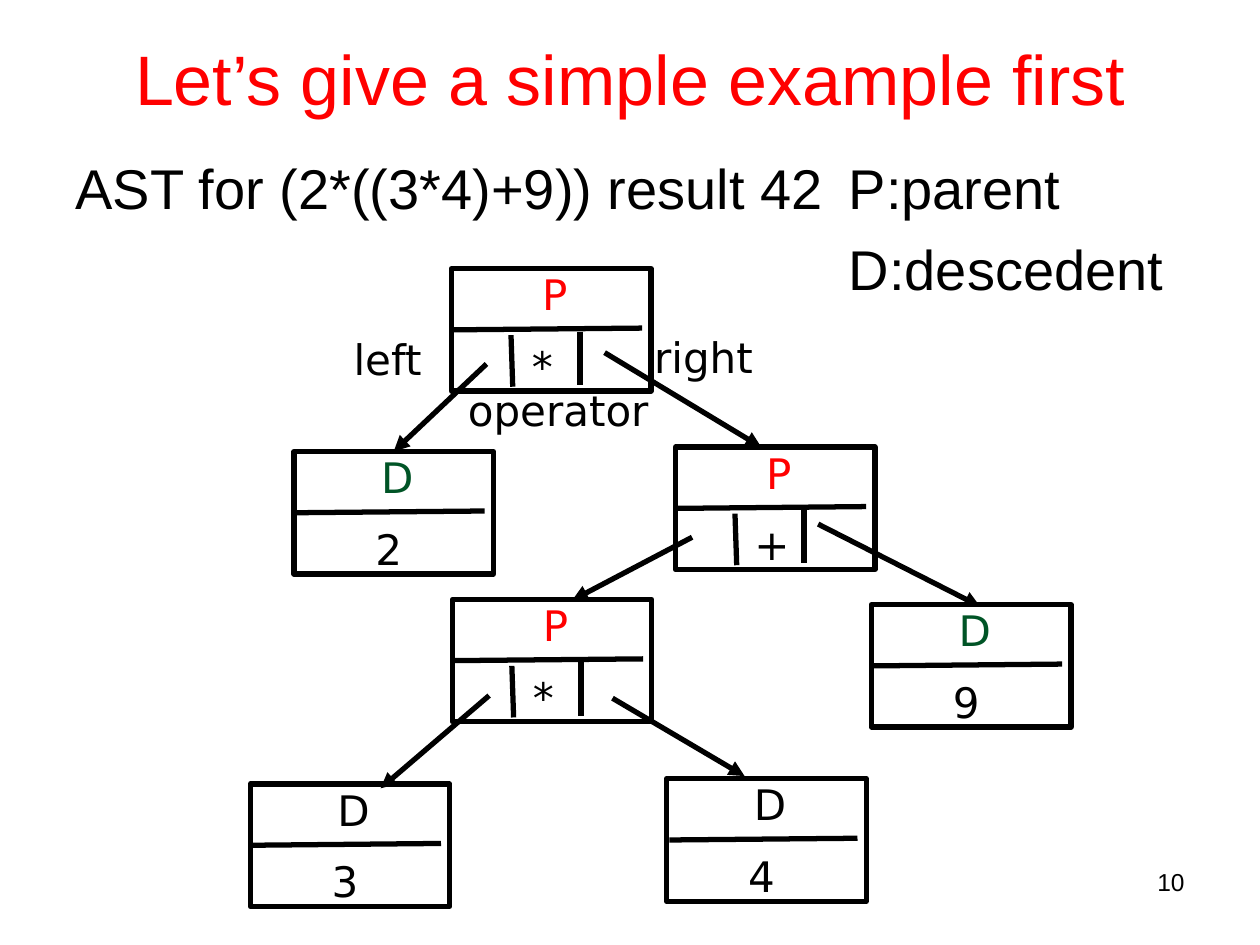
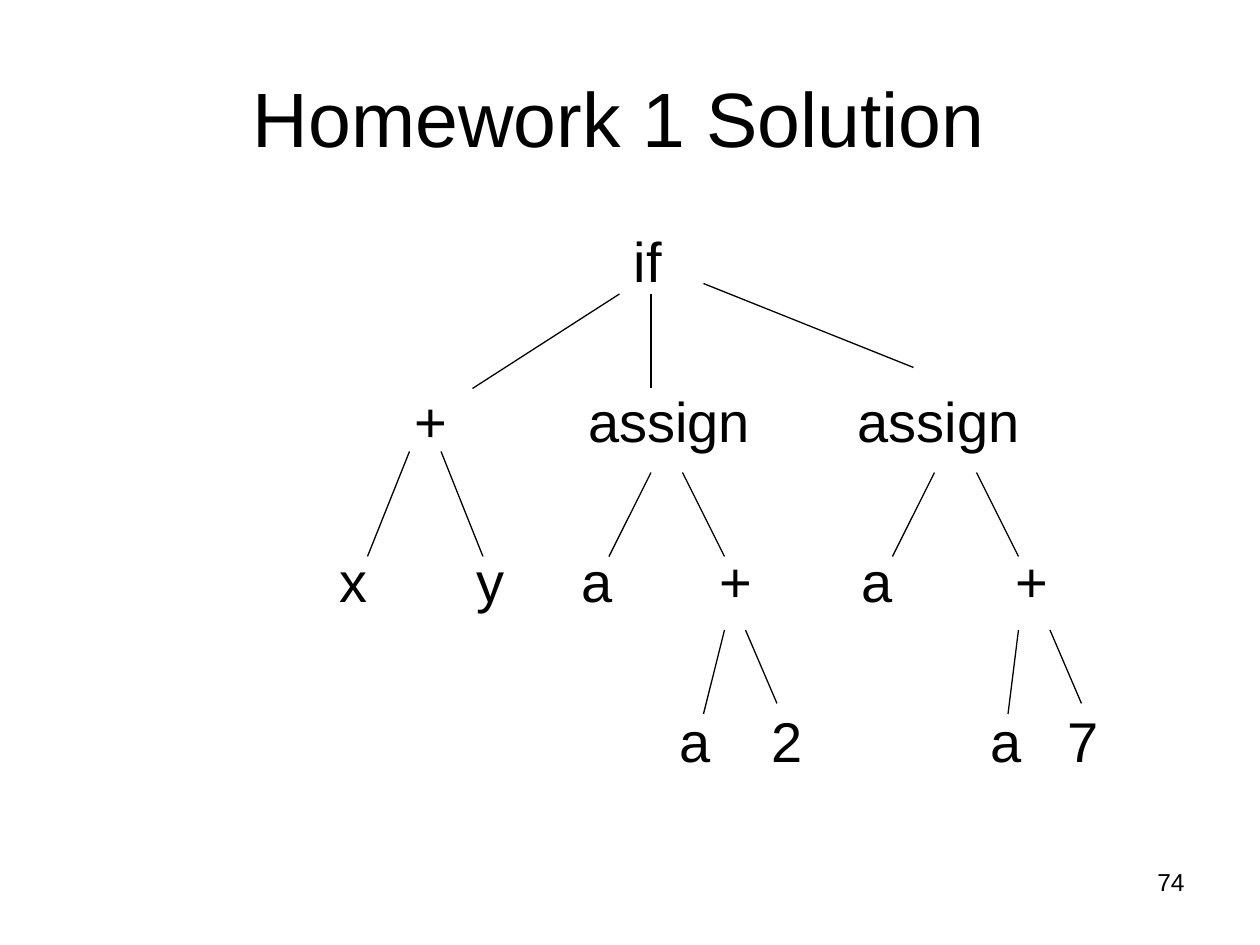
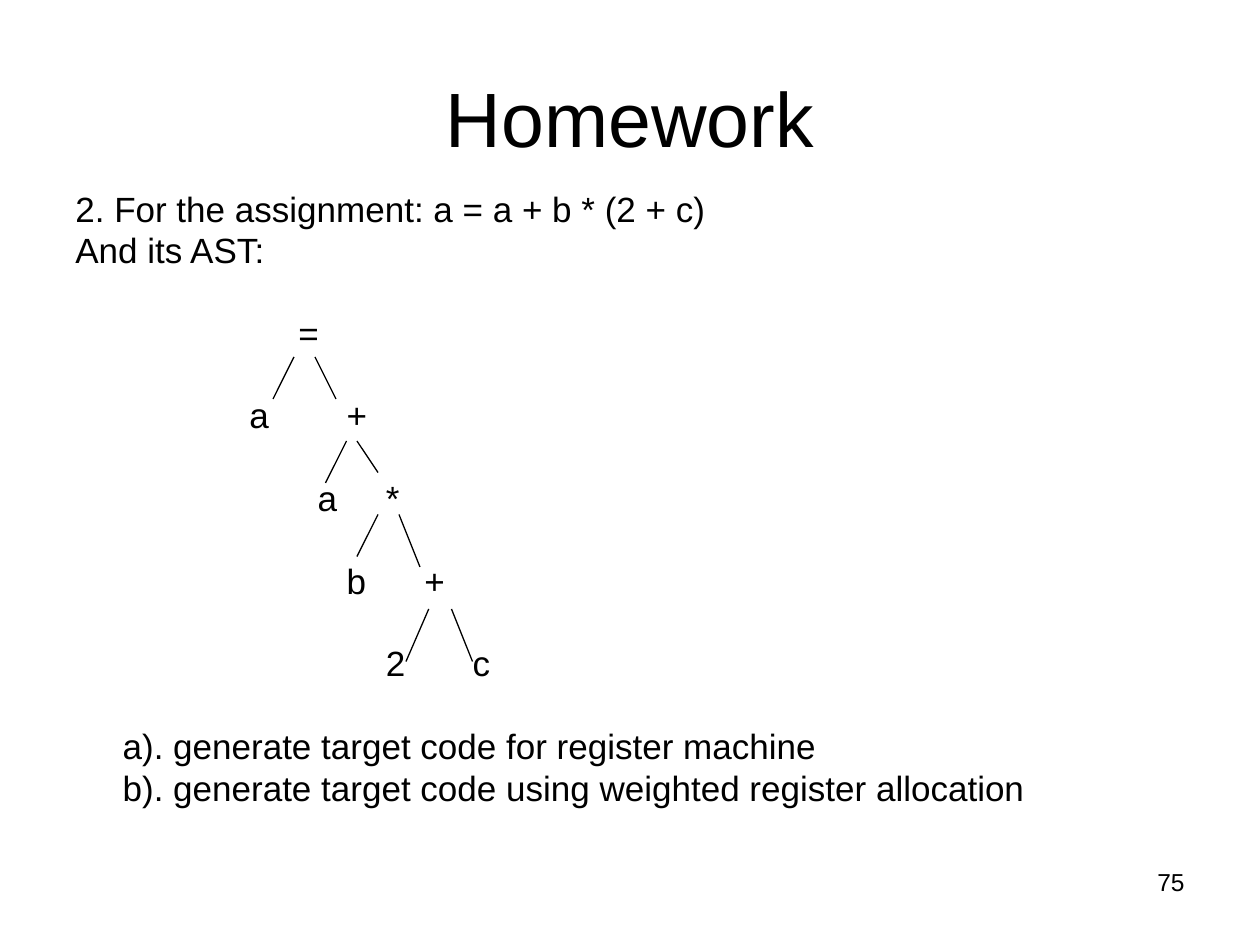
from lxml import etree
from pptx import Presentation
from pptx.dml.color import RGBColor as Rgb
from pptx.enum.shapes import MSO_CONNECTOR as Conn, MSO_SHAPE as Form
from pptx.enum.text import MSO_ANCHOR as Anchor, PP_ALIGN as Align
from pptx.oxml.ns import qn
from pptx.util import Pt

HUES = {"ink": "000000", "red": "FF0000", "green": "005426", "paper": "FFFFFF"}
SANS, CODE = "Arial", "DejaVu Sans"
WIDE, HIGH = 114, 70


class Deck:
    """Hold the style and the current slide, and draw each kind of element."""

    def __init__(self):
        self.prs = Presentation()
        self.prs.slide_width, self.prs.slide_height = Pt(720), Pt(540)

    def page(self, title, number, size=44, hue="ink", high=90):
        self.slide = self.prs.slides.add_slide(self.prs.slide_layouts[6])
        fill = self.slide.background.fill
        fill.solid()
        fill.fore_color.rgb = Rgb.from_string(HUES["paper"])
        self.home = self.slide.shapes
        self.text(title, 36, 21.6, 648, high, size, hue, anchor=Anchor.MIDDLE)
        self.text(str(number), 516, 492, 168, 37, 14, side=Align.RIGHT)

    def style(self, par, size, hue="ink", face=SANS):
        font = par.font
        font.size, font.name = Pt(size), face
        font.color.rgb = Rgb.from_string(HUES[hue])

    def text(self, words, x, y, w, h, size, hue="ink", face=SANS,
             side=Align.CENTER, anchor=Anchor.TOP, wrap=True, home=None):
        box = (home or self.home).add_textbox(Pt(x), Pt(y), Pt(w), Pt(h))
        frame = box.text_frame
        frame.word_wrap, frame.vertical_anchor = wrap, anchor
        par = frame.paragraphs[0]
        par.text, par.alignment = words, side
        self.style(par, size, hue, face)

    def label(self, words, x, y, w, hue="ink", wrap=True, home=None):
        self.text(words, x, y, w, 36, 24, hue, CODE, wrap=wrap, home=home)

    def body(self, y, h, size, rows, line=None):
        """Each row is a gap above, then pairs of tab stop and words."""
        box = self.home.add_textbox(Pt(36), Pt(y), Pt(648), Pt(h))
        frame = box.text_frame
        frame.word_wrap = True
        for i, (gap, *cells) in enumerate(rows):
            par = frame.add_paragraph() if i else frame.paragraphs[0]
            par.space_before = Pt(gap)
            if line:
                par.line_spacing = line
            par.add_run().text = "".join(
                ("\t" if stop else "") + words for stop, words in cells)
            self.style(par, size)
            self.tabs(par, [stop for stop, _ in cells if stop])

    def tabs(self, par, stops):
        props = par._p.get_or_add_pPr()
        tabs = etree.Element(qn("a:tabLst"))
        for stop in stops:
            etree.SubElement(tabs, qn("a:tab"), pos=str(Pt(stop)), algn="l")
        props.find(qn("a:defRPr")).addprevious(tabs)

    def line(self, x, y, u, v, width=0.75, arrow=False, home=None):
        edge = (home or self.home).add_connector(
            Conn.STRAIGHT, Pt(x), Pt(y), Pt(u), Pt(v))
        edge.line.width = Pt(width)
        edge.line.color.rgb = Rgb.from_string(HUES["ink"])
        props = edge._element.spPr
        if arrow:
            etree.SubElement(props.find(qn("a:ln")), qn("a:tailEnd"),
                             type="triangle")
        etree.SubElement(props, qn("a:effectLst"))
        return edge

    def node(self, x, y, kind, value, hue):
        home = self.home.add_group_shape().shapes
        box = home.add_shape(Form.RECTANGLE, Pt(x), Pt(y), Pt(WIDE), Pt(HIGH))
        box.shadow.inherit = False
        box.fill.background()
        box.line.width = Pt(3)
        box.line.color.rgb = Rgb.from_string(HUES["ink"])
        bars = [(1.5, 35, 109, 34)]
        if kind == "P":
            bars += [(34, 38, 35, 67.5), (73.5, 36, 73.5, 66.5)]
            head, wide, slot = 44.5, 29, 38
        else:
            head, wide, slot = 42.5, 33, 39.5
        self.label(kind, x + head, y - 3.5, wide, hue, False, home)
        for a, b, c, d in bars:
            self.line(x + a, y + b, x + c, y + d, 3, home=home)
        self.label(value, x + slot, y + 37.5, 28, home=home)
        return box


def sample(deck):
    deck.page("Let’s give a simple example first", 10, 40, "red", 45)
    deck.body(84.2, 150, 32, [
        (3, (0, "AST for (2*((3*4)+9)) result 42"), (442, "P:parent")),
        (7.8, (442, "D:descedent")),
    ])
    deck.node(258, 153.5, "P", "*", "red")
    for words, x, y, w in [("operator", 258, 216, 122), ("left", 178.5, 187, 86),
                           ("right", 359, 186, 86)]:
        deck.label(words, x, y, w)
    deck.node(386, 255.5, "P", "+", "red")
    deck.node(258.5, 342.5, "P", "*", "red")
    two = deck.node(168, 258, "D", "2", "green")
    deck.node(498, 345.5, "D", "9", "green")
    deck.node(381, 445, "D", "4", "ink")
    deck.node(143, 448, "D", "3", "ink")
    left = deck.line(278, 208, 225, 258, 3, True)
    left.end_connect(two, 0)
    for ends in [(345.5, 201.5, 435, 255.5), (395.5, 307, 327, 343),
                 (467.5, 299.5, 560, 346.5), (350, 399, 425.5, 443.5),
                 (279.5, 397.5, 217.5, 450.5)]:
        deck.line(*ends, 3, True)


def answer(deck):
    deck.page("Homework 1 Solution ", 74)
    deck.body(126, 356.5, 32, [
        (3, (319, "if")),
        (53, (194, "+"), (293, "assign"), (447, "assign")),
        (53, (151, "x"), (229, "y"), (289, "a"), (368, "+"), (449, "a"),
         (537, "+")),
        (53, (345, "a"), (398, "2"), (523, "a"), (567, "7")),
    ])
    for ends in [(354, 168, 270, 222), (372, 168, 372, 222),
                 (402, 162, 522, 210), (234, 258, 210, 318),
                 (252, 258, 276, 318), (372, 270, 348, 318),
                 (390, 270, 414, 318), (414, 360, 402, 408),
                 (426, 360, 444, 402), (534, 270, 510, 318),
                 (558, 270, 582, 318), (582, 360, 576, 408),
                 (600, 360, 618, 402)]:
        deck.line(*ends)


def task(deck):
    deck.page("Homework", 75)
    deck.body(108, 390, 20, [
        (2, (0, "2. For the assignment: a = a + b * (2 + c)")),
        (4.6, (0, "And its AST:")),
        (28, (127.5, "=")),
        (28, (99.5, "a"), (155, "+")),
        (28, (138.5, "a"), (177.5, "*")),
        (28, (155, "b"), (199.5, "+")),
        (28, (177.5, "2"), (227, "c")),
        (28, (27, "a). generate target code for register machine")),
        (4.6, (27, "b). generate target code using weighted register allocation")),
    ], 0.8)
    for ends in [(168, 204, 156, 228), (180, 204, 192, 228),
                 (198, 252, 186, 276), (204, 252, 216, 270),
                 (216, 294, 204, 318), (228, 294, 240, 324),
                 (245, 348, 232, 378), (258, 348, 270, 378)]:
        deck.line(*ends)


def main():
    deck = Deck()
    for draw in (sample, answer, task):
        draw(deck)
    deck.prs.save("out.pptx")


if __name__ == "__main__":
    main()
